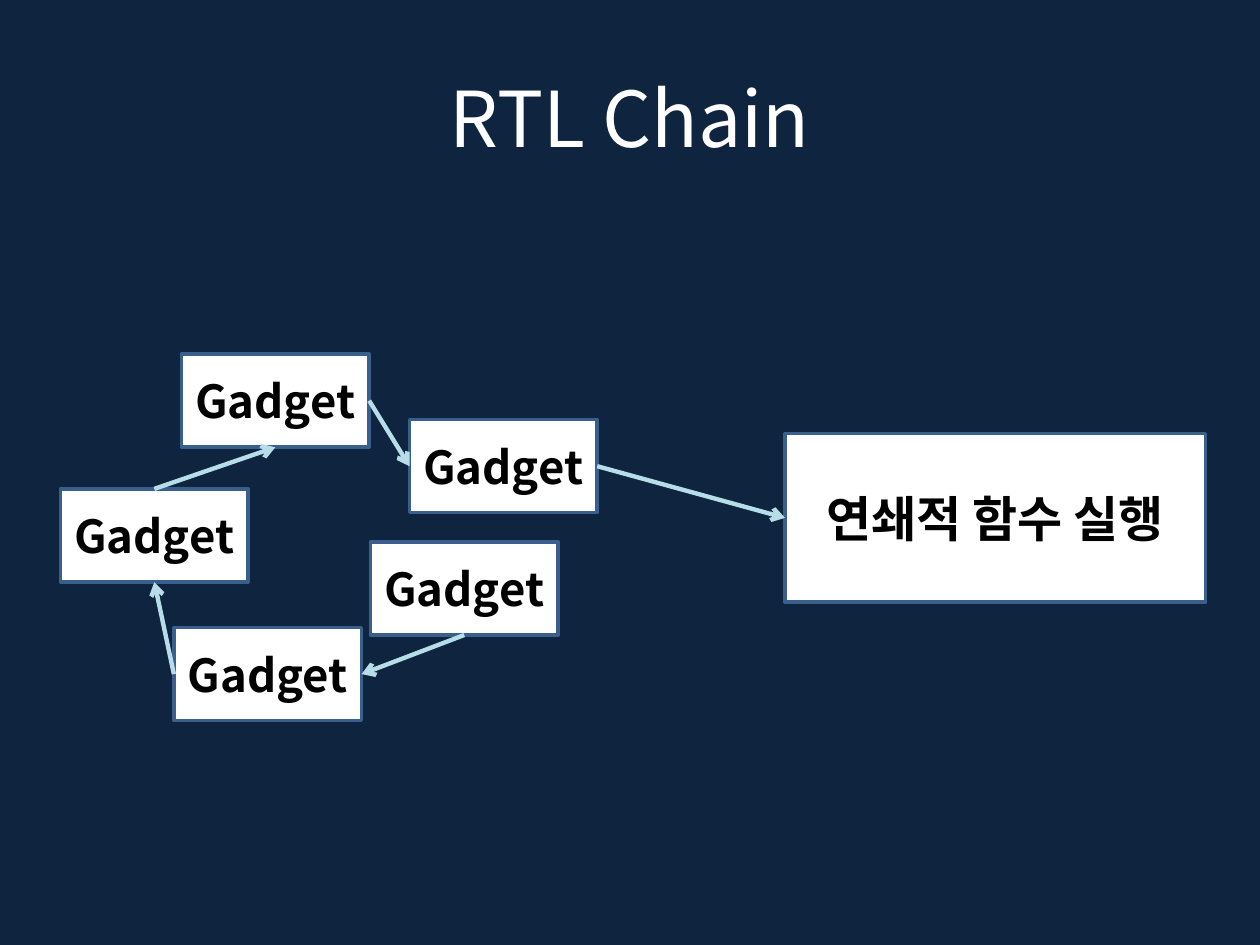
from lxml.etree import SubElement
from pptx import Presentation
from pptx.dml.color import RGBColor
from pptx.enum.shapes import MSO_CONNECTOR, MSO_SHAPE
from pptx.enum.text import MSO_ANCHOR, PP_ALIGN
from pptx.oxml.ns import qn
from pptx.util import Inches, Pt

FONT = "Noto Sans CJK KR"
TOP, LEFT, BOTTOM, RIGHT = range(4)  # connection sites of a rectangle


def color(hex):
    return RGBColor.from_string(hex)


def write(shape, text, size, ink, bold=False):
    frame = shape.text_frame
    frame.text = text
    frame.word_wrap = True
    frame.vertical_anchor = MSO_ANCHOR.MIDDLE
    para = frame.paragraphs[0]
    para.alignment = PP_ALIGN.CENTER
    font = para.font
    font.name, font.size, font.bold = FONT, Pt(size), bold
    font.color.rgb = color(ink)
    # East Asian typeface for the Korean text
    SubElement(font._element, qn("a:ea"), typeface=FONT)


def add_title(slide, text, left, top, width, height):
    title = slide.shapes.title
    title.left, title.top = Inches(left), Inches(top)
    title.width, title.height = Inches(width), Inches(height)
    write(title, text, 44, "FFFFFF")


def add_box(slide, text, size, left, top, width, height):
    box = slide.shapes.add_shape(
        MSO_SHAPE.RECTANGLE, Inches(left), Inches(top), Inches(width), Inches(height))
    box.shadow.inherit = False
    box.fill.solid()
    box.fill.fore_color.rgb = color("FFFFFF")
    box.line.color.rgb = color("3A5F8C")
    box.line.width = Pt(2)
    box.text_frame.margin_left = box.text_frame.margin_right = Inches(0.05)
    write(box, text, size, "000000", True)
    return box


def add_arrow(slide, start, out, end, into):
    arrow = slide.shapes.add_connector(MSO_CONNECTOR.STRAIGHT, 0, 0, 0, 0)
    arrow.begin_connect(start, out)
    arrow.end_connect(end, into)
    arrow.line.color.rgb = color("B7DEE8")
    arrow.line.width = Pt(2.5)
    SubElement(arrow.line._get_or_add_ln(), qn("a:tailEnd"), type="arrow")
    SubElement(arrow._element.spPr, qn("a:effectLst"))


def add_chain(slide, left, top):
    # Gadgets in call order, then the result
    spots = [(2.46, 1.49), (0.9, 2.17), (0, 1.07), (0.96, 0), (2.77, 0.52)]
    boxes = [add_box(slide, "Gadget", 26, left + x, top + y, 1.49, 0.74)
             for x, y in spots]
    boxes.append(add_box(slide, "연쇄적 함수 실행", 28,
                         left + 5.75, top + 0.63, 3.34, 1.34))
    # Each arrow leaves one box and enters the next
    sites = [(BOTTOM, RIGHT), (LEFT, BOTTOM), (TOP, BOTTOM), (RIGHT, LEFT), (RIGHT, LEFT)]
    for start, end, (out, into) in zip(boxes, boxes[1:], sites):
        add_arrow(slide, start, out, end, into)


deck = Presentation()
deck.slide_width, deck.slide_height = Inches(10), Inches(7.5)
slide = deck.slides.add_slide(deck.slide_layouts[5])
slide.background.fill.solid()
slide.background.fill.fore_color.rgb = color("0F243E")
add_title(slide, "RTL Chain", 0.5, 0.3, 9, 1.25)
add_chain(slide, 0.48, 2.81)
deck.save("out.pptx")
